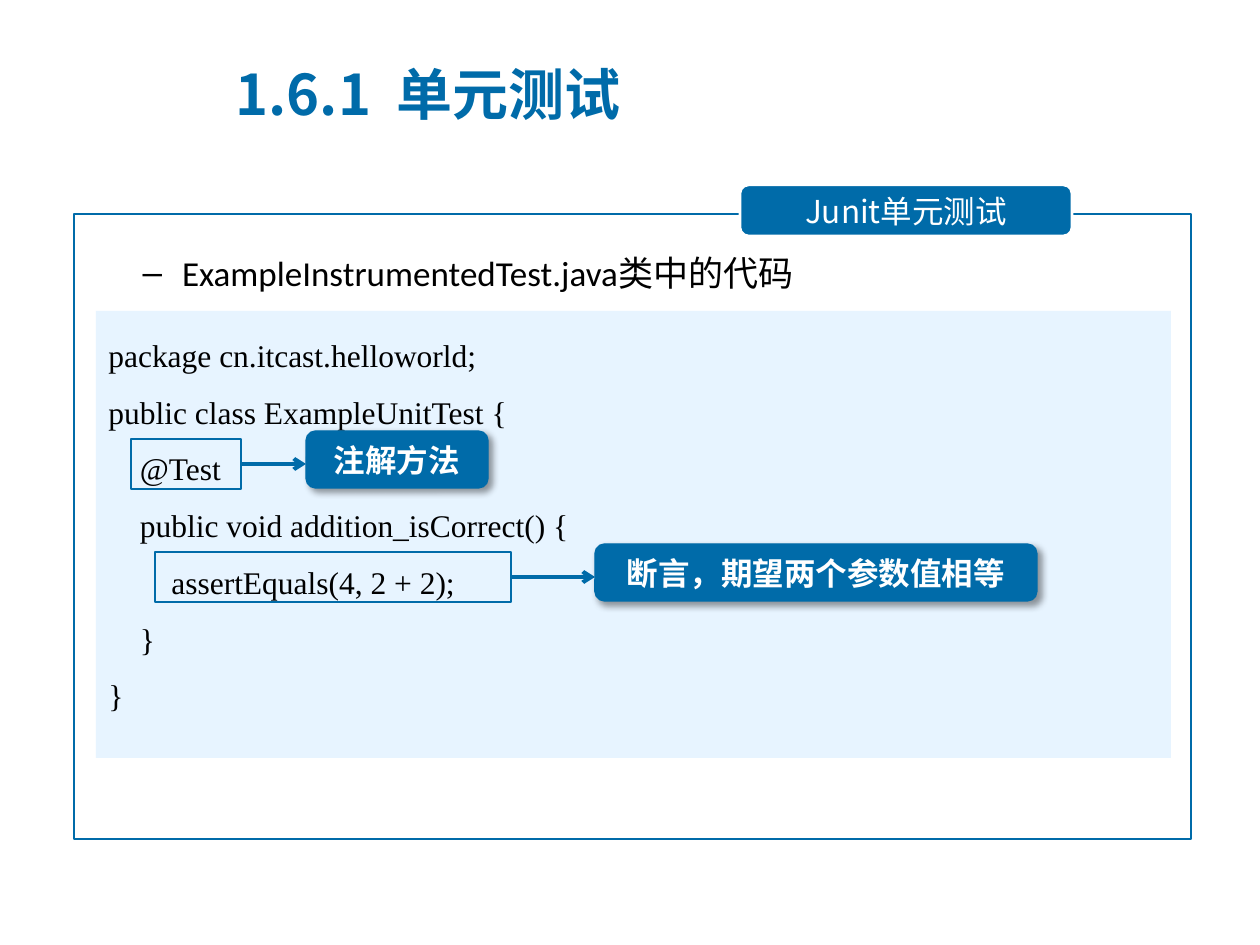
import pptx
import pptx.dml.color
import pptx.enum.shapes
import pptx.enum.text
import pptx.oxml
import pptx.oxml.ns
import pptx.util

BLUE = pptx.dml.color.RGBColor(0x00, 0x6B, 0xA9)
PALE = pptx.dml.color.RGBColor(0xE7, 0xF4, 0xFF)
WHITE = pptx.dml.color.RGBColor(0xFF, 0xFF, 0xFF)
BLACK = pptx.dml.color.RGBColor(0x00, 0x00, 0x00)
SANS = "Noto Sans CJK SC"
SERIF = "Times New Roman"
PX_PER_INCH = 126
DRAWING = pptx.oxml.ns.nsdecls("a")
ALIGN = pptx.enum.text.PP_ALIGN
ANCHOR = pptx.enum.text.MSO_ANCHOR
SHAPE = pptx.enum.shapes.MSO_SHAPE
CODE = """package cn.itcast.helloworld;
public class ExampleUnitTest {
    @Test
    public void addition_isCorrect() {
        assertEquals(4, 2 + 2);
    }
}"""


def px(length):
    return pptx.util.Emu(round(length * 914400 / PX_PER_INCH))


def write_text(shape, text, font=SANS, size=18, color=BLACK, bold=False, level=0,
               align=ALIGN.LEFT, anchor=ANCHOR.MIDDLE, line_spacing=1.0):
    frame = shape.text_frame
    frame.word_wrap = True
    frame.auto_size = pptx.enum.text.MSO_AUTO_SIZE.NONE
    frame.vertical_anchor = anchor
    frame.text = text
    for paragraph in frame.paragraphs:
        paragraph.level = level
        paragraph.alignment = align
        paragraph.line_spacing = line_spacing
        paragraph.space_before = pptx.util.Pt(0)
        for run in paragraph.runs:
            run.font.size = pptx.util.Pt(size)
            run.font.bold = bold
            run.font.color.rgb = color
            run.font.name = font
            run.font._element.append(
                pptx.oxml.parse_xml(f'<a:ea {DRAWING} typeface="{SANS}"/>'))


class Deck:
    """Holds the slide and draws each kind of element in the blue style."""

    def __init__(self):
        self.presentation = pptx.Presentation()
        self.presentation.slide_width = px(10 * PX_PER_INCH)
        self.presentation.slide_height = px(7.5 * PX_PER_INCH)
        self.slide = self.presentation.slides.add_slide(self.presentation.slide_layouts[1])

    def placeholder(self, index, bounds, text, **text_format):
        shape = self.slide.placeholders[index]
        shape.left, shape.top, shape.width, shape.height = map(px, bounds)
        write_text(shape, text, **text_format)

    def box(self, bounds, kind=SHAPE.RECTANGLE, fill=None, line=BLUE, width=1.5):
        shape = self.slide.shapes.add_shape(kind, *map(px, bounds))
        shape.shadow.inherit = False
        if fill is None:
            shape.fill.background()
        else:
            shape.fill.solid()
            shape.fill.fore_color.rgb = fill
        if line is None:
            shape.line.fill.background()
        else:
            shape.line.color.rgb = line
            shape.line.width = pptx.util.Pt(width)
        return shape

    def tab(self, bounds, text):
        shape = self.box(bounds, SHAPE.ROUNDED_RECTANGLE, BLUE, WHITE)
        write_text(shape, text, color=WHITE, align=ALIGN.CENTER)

    def code(self, bounds, text):
        shape = self.box(bounds, fill=PALE, line=None)
        write_text(shape, text, font=SERIF, anchor=ANCHOR.TOP, line_spacing=1.5)

    def callout(self, bounds, text):
        shape = self.box(bounds, SHAPE.ROUNDED_RECTANGLE, BLUE, width=0.75)
        effects = shape._element.spPr.find(pptx.oxml.ns.qn("a:effectLst"))
        effects.append(pptx.oxml.parse_xml(
            f'<a:outerShdw {DRAWING} blurRad="50800" dist="38100" dir="2700000" algn="tl">'
            '<a:srgbClr val="000000"><a:alpha val="40000"/></a:srgbClr></a:outerShdw>'))
        write_text(shape, text, font=SERIF, color=WHITE, bold=True, align=ALIGN.CENTER)

    def arrow(self, start, end, y):
        connector = self.slide.shapes.add_connector(
            pptx.enum.shapes.MSO_CONNECTOR.STRAIGHT, px(start), px(y), px(end), px(y))
        connector.line.color.rgb = BLUE
        connector.line.width = pptx.util.Pt(2.25)
        connector.line._get_or_add_ln().append(
            pptx.oxml.parse_xml(f'<a:tailEnd {DRAWING} type="arrow"/>'))
        connector._element.spPr.append(pptx.oxml.parse_xml(f'<a:effectLst {DRAWING}/>'))

    def annotation(self, marked, callout, text):
        self.box(marked)
        left, top, width, height = marked
        self.arrow(left + width, callout[0], top + height // 2)
        self.callout(callout, text)


def main():
    deck = Deck()
    deck.placeholder(0, (223, 55, 973, 77), "1.6.1  单元测试", size=32, color=BLUE, bold=True)
    deck.placeholder(1, (67, 224, 1099, 87), "ExampleInstrumentedTest.java类中的代码",
                     font="Calibri", size=20, level=1, anchor=ANCHOR.TOP, line_spacing=1.5)
    deck.box((74, 214, 1117, 625))
    deck.tab((740, 185, 332, 51), "Junit单元测试")
    deck.code((96, 311, 1075, 447), CODE)
    deck.annotation((131, 439, 110, 50), (306, 431, 182, 57), "注解方法")
    deck.annotation((155, 552, 356, 50), (595, 544, 442, 57), "断言，期望两个参数值相等")
    deck.presentation.save("out.pptx")


if __name__ == "__main__":
    main()
